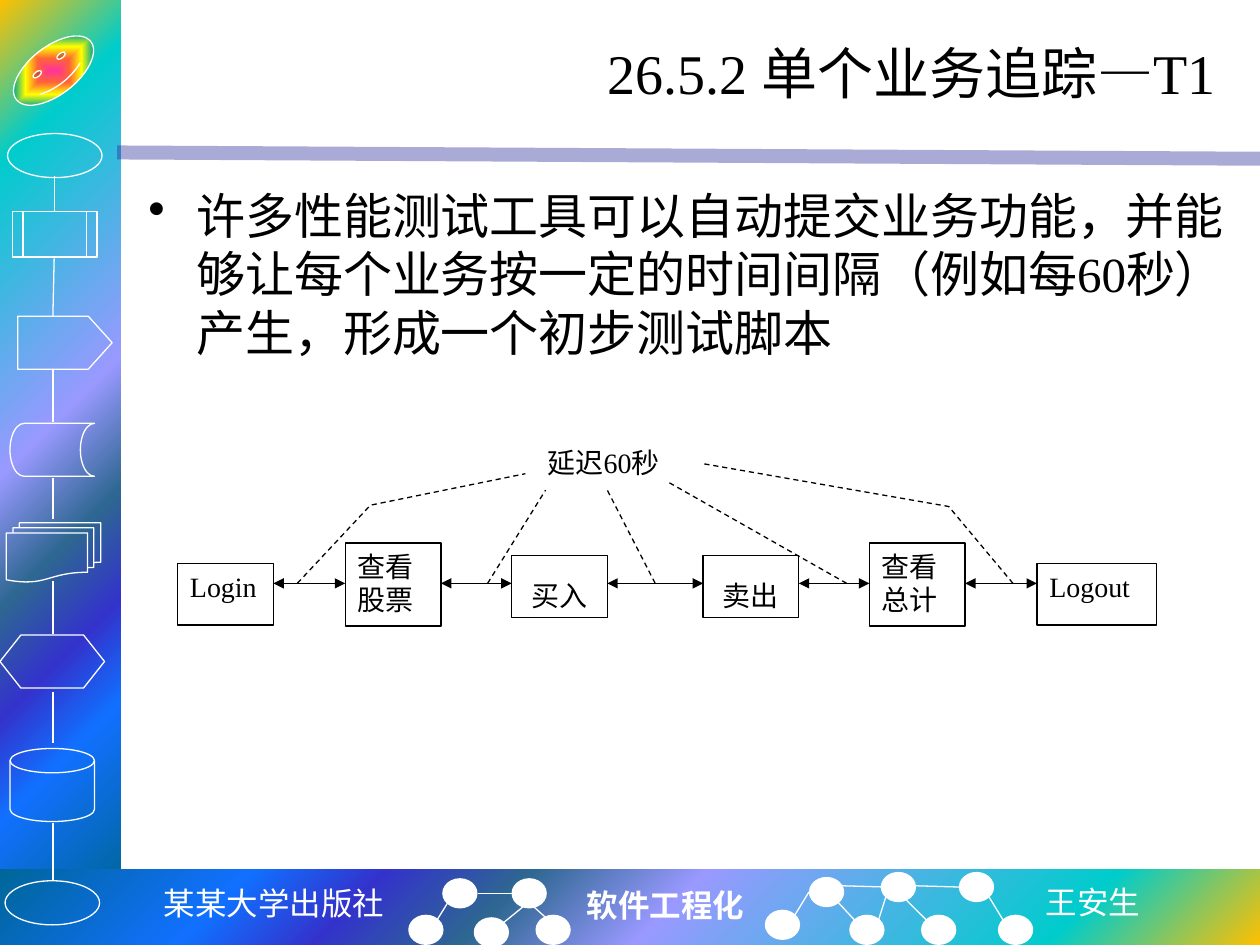
from pptx import Presentation
from pptx.dml.color import RGBColor
from pptx.enum.dml import MSO_LINE
from pptx.enum.shapes import MSO_CONNECTOR, MSO_SHAPE as Kind
from pptx.enum.text import MSO_ANCHOR as Anchor, PP_ALIGN as Align
from pptx.oxml import parse_xml
from pptx.oxml.ns import qn
from pptx.util import Cm, Pt
from lxml.etree import SubElement

INCH = 2.54
SERIF = "Times New Roman"
WHITE, BLACK = "FFFFFF", "000000"
NS = 'xmlns:a="http://schemas.openxmlformats.org/drawingml/2006/main"'


def tint(code):
    """Return the colour for a hex string."""
    return RGBColor.from_string(code)


def write(shape, lines, size, color=BLACK, font=SERIF, align=Align.LEFT,
          bold=False, wrap=True, anchor=Anchor.TOP, space=None):
    """Fill a shape with one paragraph per line and return its frame."""
    frame = shape.text_frame
    frame.word_wrap = wrap
    frame.vertical_anchor = anchor
    for i, line in enumerate(lines):
        para = frame.paragraphs[0] if i == 0 else frame.add_paragraph()
        para.alignment = align
        para.line_spacing = space
        run = para.add_run()
        run.text = line
        run.font.size = Pt(size)
        run.font.name = font
        run.font.bold = bold
        run.font.color.rgb = tint(color)
    return frame


deck = Presentation()
deck.slide_width, deck.slide_height = Cm(10 * INCH), Cm(7.5 * INCH)
slide = deck.slides.add_slide(deck.slide_layouts[6])
shapes = slide.shapes

# Side bar, foot bar and badge with gradients
sea = [(0, "FFC000"), (16, "00CCCC"), (47, "9999FF"), (60, "2E6792"),
       (71, "3333CC"), (81, "1170FF"), (100, "006699")]
glow = [(0, "FF3399"), (25, "FF6633"), (50, "FFFF00"), (75, "01A78F"),
        (100, "3366FF")]
bands = [
    (Kind.RECTANGLE, (0, 0, 0.96, 7.09), sea, "circle", (0, 0, 100, 100), 0),
    (Kind.RECTANGLE, (0, 6.9, 10, 0.6), sea, "circle", (100, 100, 0, 0), 0),
    (Kind.SMILEY_FACE, (0.05, 0.37, 0.75, 0.38), glow, "shape",
     (50, 50, 50, 50), -38),
]
for kind, box, stops, way, focus, turn in bands:
    band = shapes.add_shape(kind, *[Cm(v * INCH) for v in box])
    band.shadow.inherit = False
    band.rotation = turn
    if kind == Kind.SMILEY_FACE:
        band.adjustments[0] = 0.047
        band.line.color.rgb = tint(WHITE)
        band.line.width = Pt(0.75)
    else:
        band.line.fill.background()
    band.fill.background()
    marks = "".join(f'<a:gs pos="{p * 1000}"><a:srgbClr val="{c}"/></a:gs>'
                    for p, c in stops)
    rect = " ".join(f'{s}="{v * 1000}"' for s, v in zip("ltrb", focus))
    grad = parse_xml(f'<a:gradFill {NS} rotWithShape="1"><a:gsLst>{marks}'
                     f'</a:gsLst><a:path path="{way}"><a:fillToRect {rect}/>'
                     '</a:path></a:gradFill>')
    props = band._element.spPr
    props.replace(props.find(qn("a:noFill")), grad)

# Outlined flowchart symbols, white dots and process boxes
plain = [(kind, box, None, WHITE) for kind, box in [
    (Kind.OVAL, (0.06, 1.06, 0.75, 0.35)),
    (Kind.FLOWCHART_PREDEFINED_PROCESS, (0.1, 1.68, 0.67, 0.36)),
    (Kind.PENTAGON, (0.14, 2.51, 0.75, 0.42)),
    (Kind.FLOWCHART_STORED_DATA, (0.08, 3.36, 0.67, 0.42)),
    (Kind.FLOWCHART_MULTIDOCUMENT, (0.05, 4.15, 0.75, 0.47)),
    (Kind.FLOWCHART_PREPARATION, (0, 5.04, 0.83, 0.42)),
    (Kind.FLOWCHART_MAGNETIC_DISK, (0.08, 5.94, 0.67, 0.58)),
    (Kind.OVAL, (0.04, 6.99, 0.75, 0.35)),
]]
dots = [(3.51, 6.97), (3.24, 7.26), (3.76, 7.28), (4.06, 6.97), (4.25, 7.26),
        (6.07, 7.22), (6.42, 6.96), (6.74, 7.26), (6.99, 6.92), (7.31, 7.26),
        (7.61, 6.92), (7.92, 7.26)]
plain += [(Kind.OVAL, (x, y, 0.28, 0.24), WHITE, None) for x, y in dots]
steps = [
    ((1.41, 4.47, 0.76, 0.49), ["Login"]),
    ((2.74, 4.31, 0.76, 0.66), ["查看", "股票"]),
    ((4.06, 4.41, 0.76, 0.49), ["买入"]),
    ((5.58, 4.41, 0.76, 0.49), ["卖出"]),
    ((6.9, 4.31, 0.76, 0.66), ["查看", "总计"]),
    ((8.23, 4.47, 0.95, 0.49), ["Logout"]),
]
plain += [(Kind.RECTANGLE, box, WHITE, BLACK) for box, _ in steps]
made = []
for kind, box, fill, edge in plain:
    shape = shapes.add_shape(kind, *[Cm(v * INCH) for v in box])
    shape.shadow.inherit = False
    if kind == Kind.PENTAGON:
        shape.adjustments[0] = 0.45
    if fill:
        shape.fill.solid()
        shape.fill.fore_color.rgb = tint(fill)
    else:
        shape.fill.background()
    if edge:
        shape.line.color.rgb = tint(edge)
        shape.line.width = Pt(0.75)
    else:
        shape.line.fill.background()
    made.append(shape)
for shape, (_, words) in zip(made[-len(steps):], steps):
    mid = words in (["买入"], ["卖出"])
    write(shape, words, 16, align=Align.CENTER if mid else Align.LEFT,
          space=1.5 if mid else None)

# Lines: style and points
links = [
    ((0.43, 1.4), (0.43, 1.68)), ((0.43, 2.05), (0.42, 2.51)),
    ((0.42, 2.93), (0.42, 3.35)), ((0.42, 3.79), (0.42, 4.12)),
    ((0.42, 4.61), (0.42, 5.03)), ((0.42, 5.49), (0.42, 5.9)),
    ((0.42, 6.53), (0.42, 6.99)),
    ((3.47, 7.3), (3.55, 7.17)), ((4, 7.32), (4.16, 7.19)),
    ((4.06, 7.09), (3.79, 7.09)), ((4.34, 7.29), (4.24, 7.2)),
    ((6.31, 7.26), (6.42, 7.08)), ((6.78, 7.3), (6.65, 7.16)),
    ((6.68, 7.03), (7.03, 7.04)), ((6.97, 7.31), (7.03, 7.12)),
    ((7.35, 7.3), (7.15, 7.1)), ((7.26, 7.03), (7.61, 7.04)),
    ((7.96, 7.3), (7.85, 7.12)),
]
LEVEL = 4.63
waits = [
    ((2.36, LEVEL), (2.94, 4.01), (4.17, 3.76)),
    ((3.87, LEVEL), (4.33, 3.89)),
    ((5.2, LEVEL), (4.82, 3.89)),
    ((6.72, LEVEL), (5.31, 3.83)),
    ((8.04, LEVEL), (7.53, 4.02), (5.58, 3.68)),
]
lines = [("rule", ((0.93, 1.21), (10, 1.26)))]
lines += [("link", pts) for pts in links]
for (left, _), (right, _) in zip(steps, steps[1:]):
    lines.append(("arrow", ((left[0] + left[2], LEVEL), (right[0], LEVEL))))
lines += [("wait", pts) for pts in waits]
hues = {"rule": "262699", "link": WHITE, "arrow": BLACK, "wait": BLACK}
for style, pts in lines:
    pts = [(Cm(x * INCH), Cm(y * INCH)) for x, y in pts]
    if len(pts) == 2:
        line = shapes.add_connector(MSO_CONNECTOR.STRAIGHT, *pts[0], *pts[1])
        SubElement(line._element.spPr, qn("a:effectLst"))
    else:
        pen = shapes.build_freeform(*pts[0], scale=1.0)
        pen.add_line_segments(pts[1:], close=False)
        line = pen.convert_to_shape()
        line.shadow.inherit = False
        line.fill.background()
    line.line.color.rgb = tint(hues[style])
    line.line.width = Pt(8 if style == "rule" else 0.75)
    if style == "wait":
        line.line.dash_style = MSO_LINE.DASH
    stroke = line.line._get_or_add_ln()
    if style == "rule":
        clear = stroke.find(".//" + qn("a:srgbClr"))
        SubElement(clear, qn("a:alpha"), val="39000")
    if style == "arrow":
        for end in ("a:headEnd", "a:tailEnd"):
            SubElement(stroke, qn(end), type="triangle")

# Text boxes
texts = [
    ((1.19, 6.97, 1.97, 0.4), "某某大学出版社", 18,
     dict(color=WHITE, font="DejaVu Sans Mono", align=Align.CENTER, wrap=False)),
    ((4.56, 6.98, 1.46, 0.4), "软件工程化", 18,
     dict(color=WHITE, bold=True, wrap=False)),
    ((8.2, 6.96, 0.96, 0.4), "王安生", 18,
     dict(color=WHITE, font="Noto Sans CJK SC", wrap=False)),
    ((1.25, 0.17, 8.5, 0.81), "26.5.2 单个业务追踪—T1", 32,
     dict(align=Align.RIGHT, anchor=Anchor.MIDDLE)),
    ((4.25, 3.49, 1.33, 0.49), "延迟60秒", 16, {}),
    ((1.08, 1.42, 8.75, 1.36), "许多性能测试工具可以自动提交业务功能，并能够让每个"
     "业务按一定的时间间隔（例如每60秒）产生，形成一个初步测试脚本", 28, {}),
]
for box, words, size, look in texts:
    area = shapes.add_textbox(*[Cm(v * INCH) for v in box])
    frame = write(area, [words], size, **look)

# The last text is the bulleted body
para = frame.paragraphs[0]
para.space_before = Pt(5.6)
props = para._p.get_or_add_pPr()
props.set("marL", str(Cm(0.38 * INCH)))
props.set("indent", str(-Cm(0.38 * INCH)))
SubElement(props, qn("a:buChar"), char="•")

deck.save("out.pptx")
